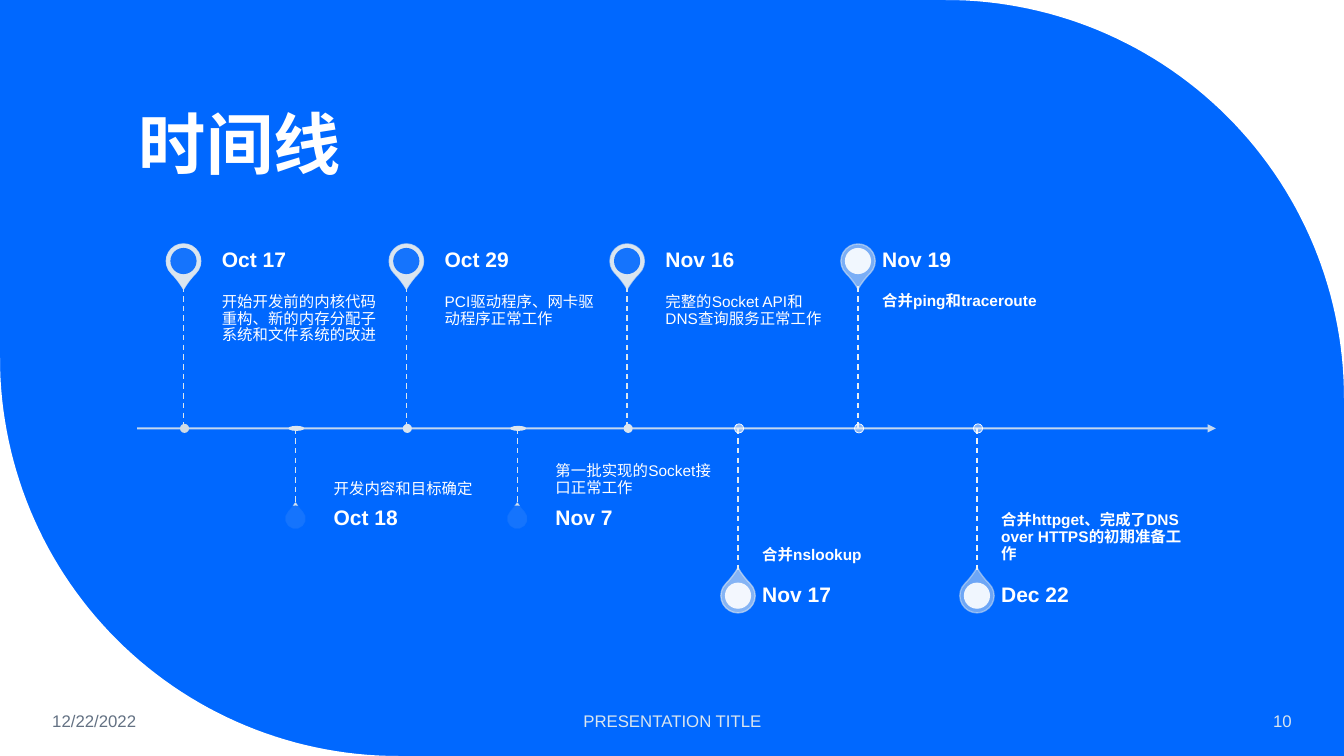
"""Build a timeline slide with alternating map pins along one arrow."""
from math import cos, radians, sin

from pptx import Presentation
from pptx.dml.color import RGBColor
from pptx.enum.dml import MSO_LINE
from pptx.enum.lang import MSO_LANGUAGE_ID
from pptx.enum.shapes import MSO_CONNECTOR, MSO_SHAPE
from pptx.enum.text import MSO_ANCHOR, PP_ALIGN
from pptx.oxml.ns import qn
from pptx.util import Inches, Pt
from lxml.etree import SubElement

BLUE, WHITE, PALE, GREY = "0068FF", "FFFFFF", "DAE5EF", "637183"
WIDTH, HEIGHT, RADIUS = 13.33, 7.5, 3.95
AXIS_LEFT, AXIS_RIGHT, AXIS_Y = 1.36, 12.06, 4.25
CORNERS = [
    ((WIDTH, 0), (WIDTH - RADIUS, RADIUS), -90),
    ((0, HEIGHT), (RADIUS, HEIGHT - RADIUS), 90),
]
FOOTERS = [
    ("12/22/2022", 0.42, 1.86, PP_ALIGN.LEFT, GREY),
    ("PRESENTATION TITLE", 4.42, 4.5, PP_ALIGN.CENTER, PALE),
    ("10", 11.1, 1.81, PP_ALIGN.RIGHT, PALE),
]
DONE = {"gap": 0.38, "width": 1.63, "bold": False, "core": BLUE}
RECENT = {"gap": 0.24, "width": 1.9, "bold": True, "core": WHITE}
TALL = {"reach": 1.41, "label": 0.5, "drop": 0.34, "dot": (0.09, 0.09)}
SHORT = {"reach": 0.76, "label": 0.27, "drop": 0.19, "dot": (0.16, 0.05)}
EVENTS = [
    ("Oct 17", "开始开发前的内核代码重构、新的内存分配子系统和文件系统的改进",
     1.82, "up", TALL, DONE, PALE, "D0DBE4", 100),
    ("Oct 18", "开发内容和目标确定", 2.93, "down", SHORT, DONE, PALE, PALE, 100),
    ("Oct 29", "PCI驱动程序、网卡驱动程序正常工作",
     4.03, "up", TALL, DONE, PALE, PALE, 100),
    ("Nov 7", "第一批实现的Socket接口正常工作",
     5.13, "down", SHORT, DONE, PALE, PALE, 100),
    ("Nov 16", "完整的Socket API和DNS查询服务正常工作",
     6.22, "up", TALL, DONE, PALE, PALE, 100),
    ("Nov 17", "合并nslookup", 7.32, "down", TALL, RECENT, "E5ECF2", "E5ECF2", 64),
    ("Nov 19", "合并ping和traceroute",
     8.51, "up", TALL, RECENT, "E9EFF5", "E9EFF5", 57),
    ("Dec 22", "合并httpget、完成了DNS over HTTPS的初期准备工作",
     9.69, "down", TALL, RECENT, "EEF3F7", "EEF3F7", 50),
]


def apply(target, values):
    for name, value in values.items():
        setattr(target, name, value)


def paint(fill, color, alpha=100):
    fill.solid()
    fill.fore_color.rgb = RGBColor.from_string(color)
    if alpha < 100:
        tint = fill._xPr.find(qn("a:solidFill"))[0]
        SubElement(tint, qn("a:alpha")).set("val", str(alpha * 1000))


def add_text(page, text, place, size, color=WHITE, bold=False,
             align=PP_ALIGN.LEFT, anchor=MSO_ANCHOR.MIDDLE,
             insets=(0.1, 0.05, 0.1, 0.05), spacing=0.9):
    box = page.shapes.add_textbox(*map(Inches, place))
    left, top, right, bottom = map(Inches, insets)
    apply(box.text_frame, {
        "word_wrap": True, "vertical_anchor": anchor, "margin_left": left,
        "margin_top": top, "margin_right": right, "margin_bottom": bottom})
    para = box.text_frame.paragraphs[0]
    apply(para, {"alignment": align, "line_spacing": spacing})
    span = para.add_run()
    span.text = text
    apply(span.font, {"name": "Arial", "size": Pt(size), "bold": bold,
                      "language_id": MSO_LANGUAGE_ID.SIMPLIFIED_CHINESE})
    paint(span.font.fill, color)
    SubElement(span.font._element, qn("a:ea")).set("typeface", "Arial")


def add_line(page, start, end, color, weight, alpha=100):
    line = page.shapes.add_connector(
        MSO_CONNECTOR.STRAIGHT, *map(Inches, start + end))
    line.line.width = Pt(weight)
    paint(line.line.fill, color, alpha)
    SubElement(line._element.spPr, qn("a:effectLst"))
    return line


def add_centred(page, kind, center, size, color, alpha=100, edge=None):
    x, y = center
    width, height = size
    shape = page.shapes.add_shape(kind, *map(
        Inches, (x - width / 2, y - height / 2, width, height)))
    shape.shadow.inherit = False
    paint(shape.fill, color, alpha)
    if edge:
        edge_color, weight, edge_alpha = edge
        shape.line.width = Pt(weight)
        paint(shape.line.fill, edge_color, edge_alpha)
    else:
        shape.line.fill.background()
    return shape


def add_corner(page, tip, center, first_angle):
    angles = [radians(first_angle + 90 * step / 60) for step in range(61)]
    arc = [(center[0] + RADIUS * cos(a), center[1] + RADIUS * sin(a)) for a in angles]
    builder = page.shapes.build_freeform(*map(Inches, tip))
    builder.add_line_segments([(Inches(x), Inches(y)) for x, y in arc])
    corner = builder.convert_to_shape()
    corner.shadow.inherit = False
    paint(corner.fill, WHITE)
    corner.line.fill.background()


def add_event(page, index, event):
    date, text, x, side, size, look, stem_color, dot_color, dot_alpha = event
    up = side == "up"
    recent = look is RECENT
    reach, label = size["reach"], size["label"]
    stem_end = AXIS_Y - reach if up else AXIS_Y + reach
    label_top = stem_end - label if up else stem_end
    body_top = stem_end if up else AXIS_Y
    center = (x, label_top + label / 2)
    fade = round(90 - 40 * index / (len(EVENTS) - 1))

    drop = add_centred(page, MSO_SHAPE.TEAR, center, (size["drop"],) * 2, PALE,
                       fade if recent else 100, (PALE, 1, fade))
    drop.adjustments[0] = 1.15
    drop.rotation = 135 if up else 315
    add_centred(page, MSO_SHAPE.OVAL, center, (0.26, 0.26), look["core"], 90)
    left, width = x + look["gap"], look["width"]
    add_text(page, text, (left, body_top, width, reach), 11, bold=look["bold"],
             anchor=MSO_ANCHOR.TOP if up else MSO_ANCHOR.BOTTOM,
             insets=(0, 0.08, 0.08, 0.11) if up else (0, 0.11, 0, 0.08))
    add_text(page, date, (left, label_top, width, label), 15, bold=True,
             insets=(0, 0, 0.1, 0))
    stem = add_line(page, (x, body_top), (x, body_top + reach), stem_color, 1)
    stem.line.dash_style = MSO_LINE.DASH
    add_centred(page, MSO_SHAPE.OVAL, (x + 0.01, AXIS_Y), size["dot"], dot_color,
                dot_alpha, (WHITE, 0.5, 100) if recent else None)


def main():
    deck = Presentation()
    apply(deck, {"slide_width": Inches(WIDTH), "slide_height": Inches(HEIGHT)})
    page = deck.slides.add_slide(deck.slide_layouts[6])
    paint(page.background.fill, BLUE)
    for corner in CORNERS:
        add_corner(page, *corner)
    add_text(page, "时间线", (1.28, 0.42, 10.69, 1.45), 48, bold=True,
             anchor=MSO_ANCHOR.BOTTOM)
    axis = add_line(page, (AXIS_LEFT, AXIS_Y), (AXIS_RIGHT, AXIS_Y), PALE, 1.5, 90)
    SubElement(axis.line._ln, qn("a:tailEnd")).set("type", "triangle")
    for index, event in enumerate(EVENTS):
        add_event(page, index, event)
    for text, left, width, align, color in FOOTERS:
        add_text(page, text, (left, 6.95, width, 0.4), 12, color, align=align, spacing=1.0)
    deck.save("out.pptx")


if __name__ == "__main__":
    main()
